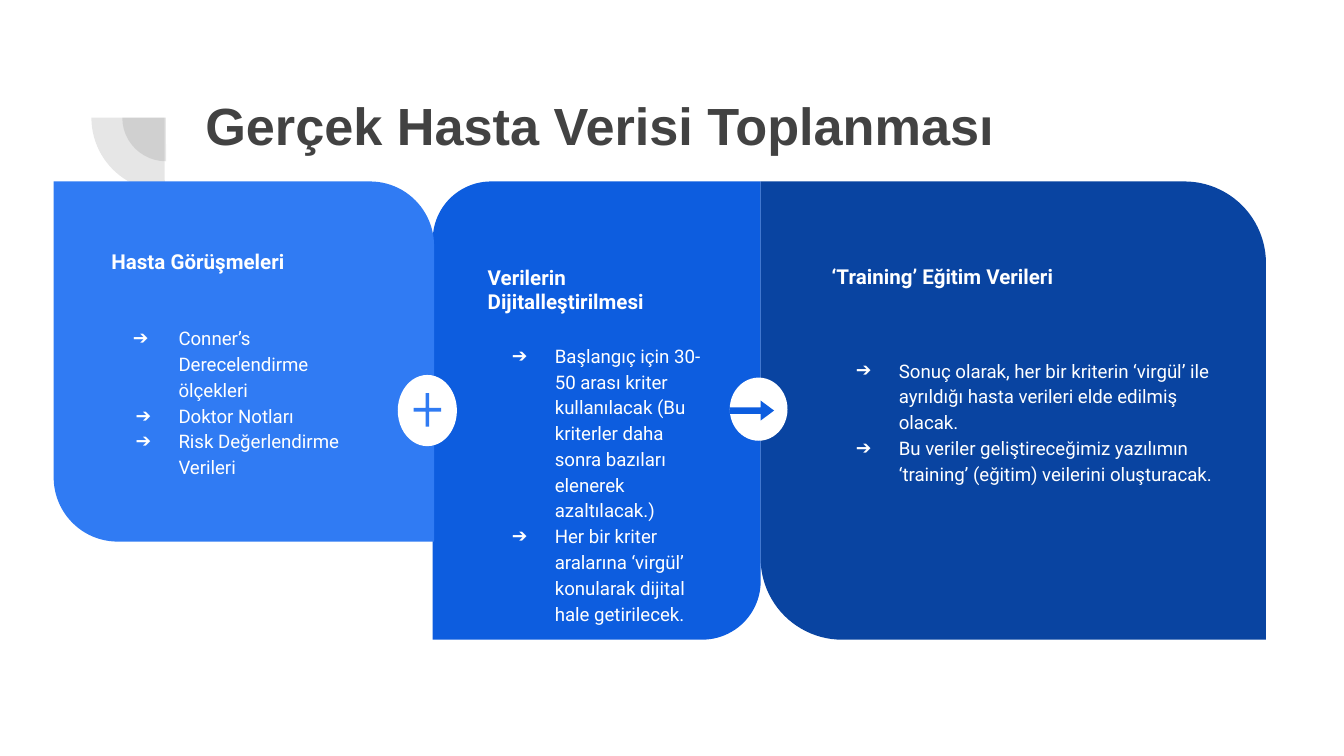
"""Builds the slide on collecting real patient data."""
import pptx
import pptx.dml.color
import pptx.enum.shapes
import pptx.oxml
import pptx.oxml.ns
import pptx.util
from lxml import etree

Inches = pptx.util.Inches
RGBColor = pptx.dml.color.RGBColor
SHAPE = pptx.enum.shapes.MSO_SHAPE
qn = pptx.oxml.ns.qn

WHITE = RGBColor(0xFF, 0xFF, 0xFF)
GREY = RGBColor(0x42, 0x42, 0x42)
LIGHT_BLUE = RGBColor(0x30, 0x7B, 0xF3)
MID_BLUE = RGBColor(0x0D, 0x5D, 0xDF)
DARK_BLUE = RGBColor(0x09, 0x44, 0xA1)

ROUNDING = 0.178
PANEL_TOP = 1.35


class SlideBuilder:
    def __init__(self, slide):
        self.slide = slide

    def shape(self, kind, box, color, adjustments=(), rotation=0, opacity=None):
        shape = self.slide.shapes.add_shape(kind, *map(Inches, box))
        shape.shadow.inherit = False
        shape.rotation = rotation
        for index, value in enumerate(adjustments):
            shape.adjustments[index] = value
        shape.fill.solid()
        shape.fill.fore_color.rgb = color
        shape.line.fill.background()
        if opacity is not None:
            tint = next(shape.fill._xPr.iter(qn("a:srgbClr")))
            etree.SubElement(tint, qn("a:alpha"), val=str(opacity * 1000))

    def text(self, box, lines, size, color=WHITE, font="Roboto", bold=False,
             spacing=1.0, hangings=()):
        frame = self.slide.shapes.add_textbox(*map(Inches, box)).text_frame
        frame.word_wrap = True
        frame.margin_left = frame.margin_right = Inches(0.1)
        frame.margin_top = frame.margin_bottom = Inches(0.1)
        frame.text = "\n".join(lines)
        for paragraph, hanging in zip(frame.paragraphs, hangings):
            self.bullet(paragraph, hanging, color, font)
        for paragraph in frame.paragraphs:
            paragraph.line_spacing = spacing
            for run in paragraph.runs:
                run.font.name = font
                run.font.size = pptx.util.Pt(size)
                run.font.bold = bold
                run.font.color.rgb = color

    def bullet(self, paragraph, hanging, color, font):
        properties = paragraph._p.get_or_add_pPr()
        properties.set("marL", str(Inches(0.5)))
        properties.set("indent", str(-Inches(hanging)))
        bullet_color = etree.SubElement(properties, qn("a:buClr"))
        etree.SubElement(bullet_color, qn("a:srgbClr"), val=str(color))
        etree.SubElement(properties, qn("a:buFont"), typeface=font)
        etree.SubElement(properties, qn("a:buChar"), char="➔")

    def panel(self, box, color, corners, heading_box, heading, body_box, points,
              first_hanging=0.32):
        self.shape(SHAPE.ROUND_2_DIAG_RECTANGLE, box, color, corners)
        self.text(heading_box, [heading], 11, bold=True)
        hangings = [first_hanging] + [0.32] * (len(points) - 1)
        self.text(body_box, points, 10, spacing=1.15, hangings=hangings)


def main():
    presentation = pptx.Presentation()
    presentation.slide_width = Inches(10)
    presentation.slide_height = Inches(10) * 9 // 16
    builder = SlideBuilder(presentation.slides.add_slide(presentation.slide_layouts[6]))

    for left, top, diameter in ((0.91, 0.55, 0.65), (0.68, 0.33, 1.09)):
        builder.shape(SHAPE.PIE, (left, top, diameter, diameter), GREY,
                      (107.928, 162), rotation=270, opacity=13)
    builder.text((1.43, 0.65, 7.69, 1.09), ["Gerçek Hasta Verisi Toplanması"], 28,
                 GREY, "Arial", bold=True, spacing=0.9)

    builder.panel(
        (3.22, PANEL_TOP, 2.44, 3.41), MID_BLUE, (ROUNDING, 0),
        (3.53, 1.87, 1.82, 1), "Verilerin Dijitalleştirilmesi",
        (3.53, 2.44, 1.82, 2.07),
        ["Başlangıç için 30-50 arası kriter kullanılacak (Bu kriterler daha sonra "
         "bazıları elenerek azaltılacak.)",
         "Her bir kriter aralarına ‘virgül’ konularak dijital hale getirilecek."])
    builder.panel(
        (0.4, PANEL_TOP, 2.83, 2.68), LIGHT_BLUE, (0, ROUNDING),
        (0.73, 1.76, 2.11, 0.79), "Hasta Görüşmeleri",
        (0.73, 2.31, 2.11, 1.48),
        ["Conner’s Derecelendirme ölçekleri", "Doktor Notları",
         "Risk Değerlendirme Verileri"],
        first_hanging=0.34)
    builder.panel(
        (5.66, PANEL_TOP, 3.76, 3.41), DARK_BLUE, (0, ROUNDING),
        (6.09, 1.87, 3.03, 0.57), "‘Training’ Eğitim Verileri",
        (6.09, 2.55, 3.03, 1.51),
        ["Sonuç olarak, her bir kriterin ‘virgül’ ile ayrıldığı hasta verileri "
         "elde edilmiş olacak.",
         "Bu veriler geliştireceğimiz yazılımın ‘training’ (eğitim) veilerini "
         "oluşturacak."])

    builder.shape(SHAPE.OVAL, (5.43, 2.81, 0.43, 0.47), WHITE)
    builder.shape(SHAPE.RIGHT_ARROW, (5.43, 2.98, 0.33, 0.15), MID_BLUE, (0.32, 0.67))
    builder.shape(SHAPE.OVAL, (2.96, 2.79, 0.44, 0.53), WHITE)
    builder.shape(SHAPE.MATH_PLUS, (3.04, 2.88, 0.28, 0.34), LIGHT_BLUE, (0.099,))

    presentation.save("out.pptx")


if __name__ == "__main__":
    main()
